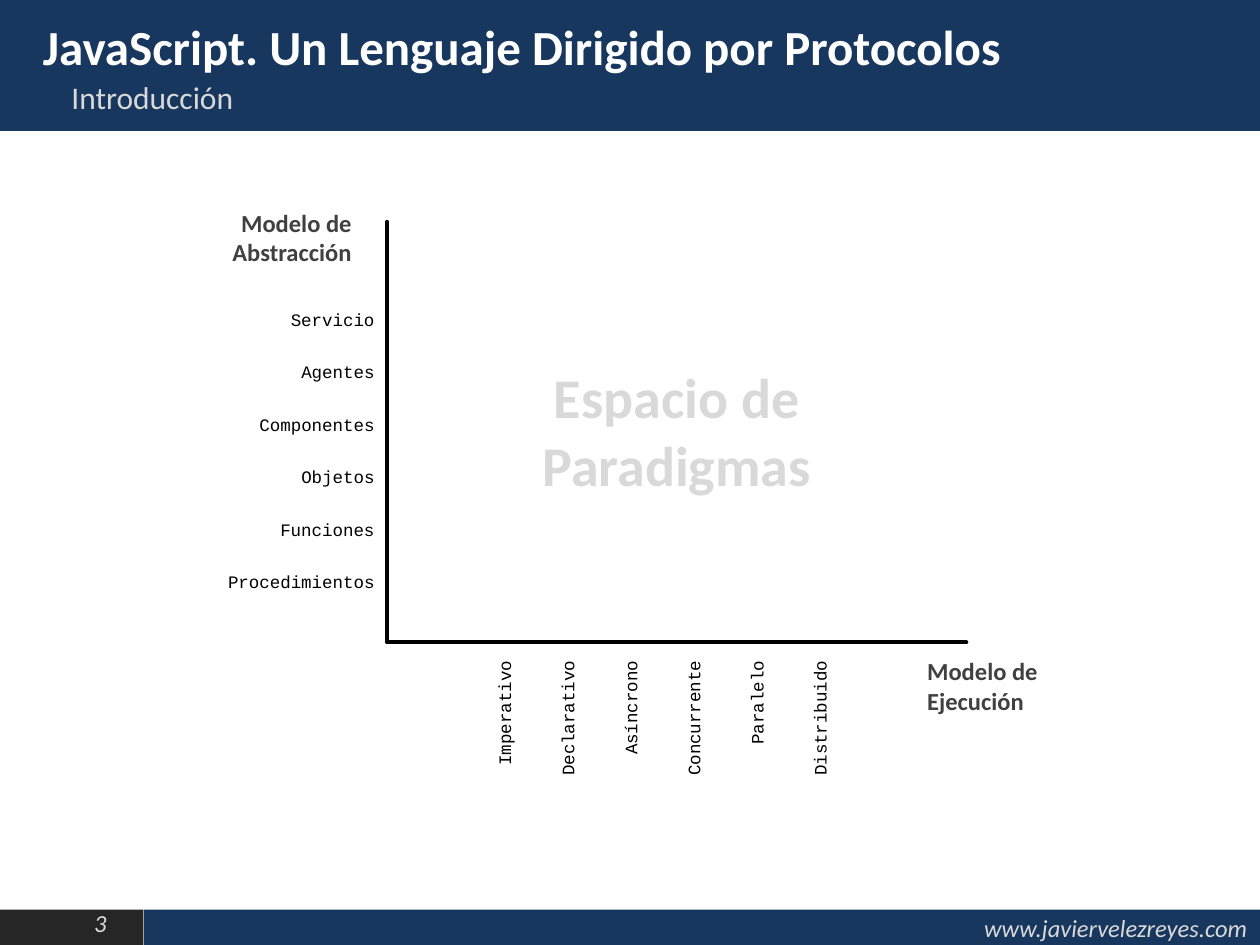
from dataclasses import dataclass

from pptx import Presentation
from pptx.dml.color import RGBColor
from pptx.enum.shapes import MSO_CONNECTOR, MSO_SHAPE
from pptx.enum.text import MSO_ANCHOR, MSO_AUTO_SIZE, PP_ALIGN
from pptx.oxml.ns import qn
from pptx.util import Cm, Pt

LEFT, MID, RIGHT = PP_ALIGN.LEFT, PP_ALIGN.CENTER, PP_ALIGN.RIGHT
TOP, CENTER = MSO_ANCHOR.TOP, MSO_ANCHOR.MIDDLE
FIXED = MSO_AUTO_SIZE.NONE
RECT, LINE = MSO_SHAPE.RECTANGLE, MSO_CONNECTOR.STRAIGHT
NAVY, PALE, GREY, BLACK = "17375E", "D9D9D9", "404040", "000000"


@dataclass
class Box:
    x: float
    y: float
    w: float
    h: float

    def lengths(self) -> tuple:
        return Cm(self.x), Cm(self.y), Cm(self.w), Cm(self.h)


@dataclass
class Style:
    size: int
    color: str
    align: PP_ALIGN = LEFT
    font: str = "Calibri"
    bold: bool = False
    italic: bool = False
    space: float = 1.0


@dataclass
class Label:
    text: str
    box: Box
    style: Style
    turn: int = 0


@dataclass
class Bar:
    box: Box
    color: str


@dataclass
class Axis:
    x1: float
    y1: float
    x2: float
    y2: float


def paint(target, color: str) -> None:
    target.rgb = RGBColor.from_string(color)


def write(shape, text: str, style: Style, anchor: MSO_ANCHOR = TOP) -> None:
    frame = shape.text_frame
    frame.text = text
    frame.word_wrap = True
    frame.auto_size = FIXED
    frame.vertical_anchor = anchor
    for para in frame.paragraphs:
        para.alignment = style.align
        para.line_spacing = style.space
        for run in para.runs:
            font = run.font
            font.name = style.font
            font.size = Pt(style.size)
            font.bold = style.bold
            font.italic = style.italic
            paint(font.color, style.color)


def add_bar(slide, bar: Bar):
    shape = slide.shapes.add_shape(RECT, *bar.box.lengths())
    shape.shadow.inherit = False
    shape.fill.solid()
    paint(shape.fill.fore_color, bar.color)
    shape.line.fill.background()
    return shape


def add_label(slide, label: Label) -> None:
    shape = slide.shapes.add_textbox(*label.box.lengths())
    shape.rotation = label.turn
    write(shape, label.text, label.style)


def add_axis(slide, axis: Axis) -> None:
    line = slide.shapes.add_connector(
        LINE, Cm(axis.x1), Cm(axis.y1), Cm(axis.x2), Cm(axis.y2))
    line.line.width = Pt(2.25)
    paint(line.line.color, BLACK)
    props = line._element.spPr
    props.find(qn("a:ln")).set("cap", "rnd")
    props.append(props.makeelement(qn("a:effectLst"), {}))


def add_title(slide, label: Label) -> None:
    title = slide.shapes.title
    title.left, title.top, title.width, title.height = label.box.lengths()
    write(title, label.text, label.style)
    slide.shapes._spTree.append(title._element)


FOOT = Style(14, PALE, RIGHT, italic=True)
HEAD = Style(14, GREY, bold=True)
ROWS = Style(10, BLACK, RIGHT, "Courier New", space=2.5)
COLS = Style(10, BLACK, RIGHT, "Courier New", space=3.0)

MODELS = ["Servicio", "Agentes", "Componentes", "Objetos", "Funciones",
          "Procedimientos"]
MODES = ["Imperativo", "Declarativo", "Asíncrono", "Concurrente", "Paralelo",
         "Distribuido"]

TITLE = Label("JavaScript. Un Lenguaje Dirigido por Protocolos",
              Box(0.61, 0.2, 23.9, 1.19), Style(28, "FFFFFF", bold=True))
BARS = [
    Bar(Box(0, 0, 25.4, 2.64), NAVY),
    Bar(Box(-0.03, 18.34, 2.92, 0.74), "262626"),
]
SITE = Bar(Box(2.9, 18.34, 22.5, 0.74), NAVY)
AXES = [Axis(7.8, 4.47, 7.8, 12.9), Axis(7.8, 12.95, 19.48, 12.95)]
LABELS = [
    Label("3 ", Box(0.3, 18.19, 2.21, 0.86), FOOT),
    Label("Introducción", Box(1.19, 1.45, 23.32, 0.99), Style(18, PALE)),
    Label("Modelo de Abstracción", Box(3.78, 4.06, 3.56, 1.45),
          Style(14, GREY, RIGHT, bold=True)),
    Label("Modelo de Ejecución", Box(18.44, 13.11, 4.6, 1.45), HEAD),
    Label("\n".join(MODELS), Box(3.61, 5.46, 4.19, 6.5), ROWS),
    Label("\n".join(MODES), Box(11.33, 10.72, 3.05, 7.75), COLS, 270),
    Label("Espacio de Paradigmas", Box(10.24, 7.19, 6.81, 3),
          Style(32, PALE, MID, bold=True)),
]


def main() -> None:
    deck = Presentation()
    deck.slide_width, deck.slide_height = Cm(25.4), Cm(19.05)
    slide = deck.slides.add_slide(deck.slide_layouts[5])
    for bar in BARS:
        add_bar(slide, bar)
    write(add_bar(slide, SITE), "www.javiervelezreyes.com", FOOT, CENTER)
    add_title(slide, TITLE)
    for axis in AXES:
        add_axis(slide, axis)
    for label in LABELS:
        add_label(slide, label)
    deck.save("out.pptx")


if __name__ == "__main__":
    main()
